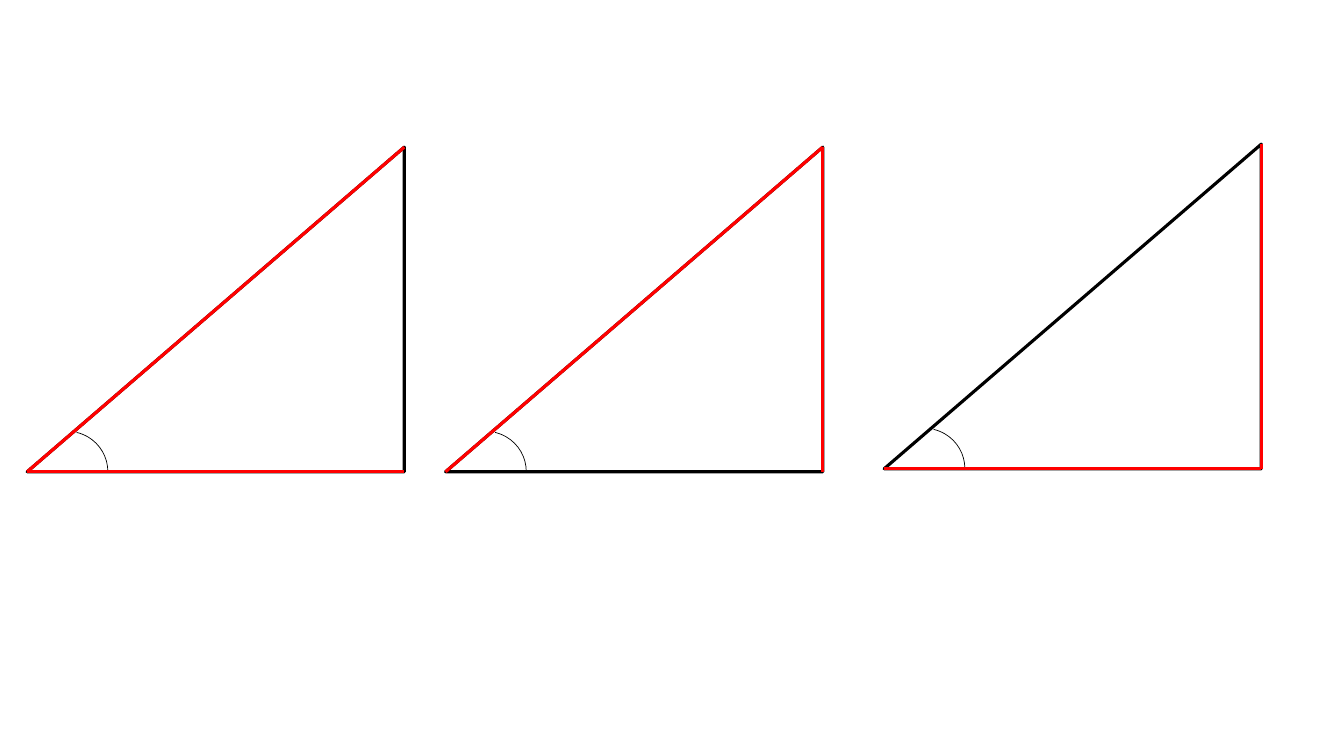
"""Three right triangles, each with a marked angle and two sides in red."""
from pptx import Presentation
from pptx.dml.color import RGBColor
from pptx.enum.shapes import MSO_CONNECTOR, MSO_SHAPE
from pptx.oxml.ns import qn
from pptx.util import Inches, Pt
from lxml import etree

TRIANGLE = MSO_SHAPE.ISOSCELES_TRIANGLE
ARC = MSO_SHAPE.ARC
STRAIGHT = MSO_CONNECTOR.STRAIGHT
BLACK, RED = "000000", "FF0000"
WIDTH, HEIGHT = 3.74, 3.22
ARC_SIZE = 0.8


def set_line(sp, color, width):
    sp.line.color.rgb = RGBColor.from_string(color)
    sp.line.width = Pt(width)


prs = Presentation()
prs.slide_width = Inches(13.33)
prs.slide_height = Inches(7.5)
s = prs.slides.add_slide(prs.slide_layouts[6])

triangles = [
    (8.77, 1.43, ["opposite", "adjacent"]),
    (4.42, 1.46, ["hypotenuse", "opposite"]),
    (0.27, 1.46, ["hypotenuse", "adjacent"]),
]

for left, top, red_sides in triangles:
    right, bottom = left + WIDTH, top + HEIGHT
    outlines = [
        (TRIANGLE, top, WIDTH, HEIGHT, 1, 2.25),
        (ARC, bottom - ARC_SIZE / 2, ARC_SIZE, ARC_SIZE, 169.855, 0.5),
    ]
    for kind, y, width, height, adjustment, weight in outlines:
        sp = s.shapes.add_shape(kind, Inches(left), Inches(y), Inches(width), Inches(height))
        sp.adjustments[0] = adjustment
        sp.shadow.inherit = False
        sp.fill.background()
        set_line(sp, BLACK, weight)

    sides = {
        "hypotenuse": (left, bottom, right, top),
        "opposite": (right, top, right, bottom),
        "adjacent": (left, bottom, right, bottom),
    }
    for side in red_sides:
        line = s.shapes.add_connector(STRAIGHT, *[Inches(v) for v in sides[side]])
        set_line(line, RED, 2.25)
        etree.SubElement(line._element.spPr, qn("a:effectLst"))

prs.save("out.pptx")
